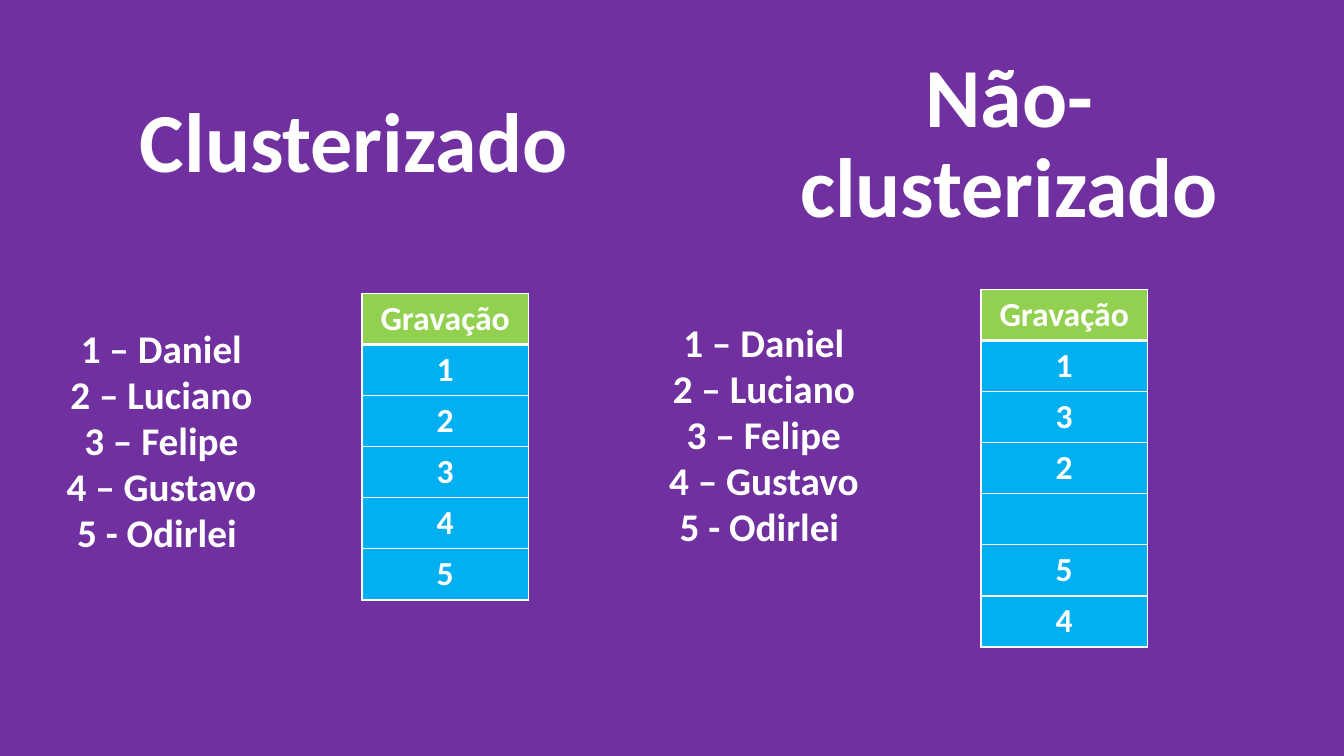
"""Build a slide comparing clustered and non-clustered write order."""
from dataclasses import dataclass

from lxml.etree import SubElement
from pptx import Presentation
from pptx.dml.color import RGBColor
from pptx.enum.text import MSO_ANCHOR as Anchor, MSO_AUTO_SIZE as AutoSize, PP_ALIGN as Align
from pptx.oxml.ns import qn
from pptx.util import Inches, Pt

COLORS = {"background": "7030A0", "text": "FFFFFF", "header": "92D050", "row": "00B0F0"}
FONT = "Calibri"
WIDTH, HEIGHT = Inches(13.33), Inches(7.5)
NAMES = ["1 – Daniel", "2 – Luciano", "3 – Felipe", "4 – Gustavo", "5 - Odirlei "]
ROW_HEIGHT = 6.76


@dataclass(frozen=True)
class Box:
    """Position and size in percent of the slide."""
    left: float
    top: float
    width: float
    height: float

    def lengths(self) -> tuple[int, int, int, int]:
        return (int(WIDTH * self.left / 100), int(HEIGHT * self.top / 100),
                int(WIDTH * self.width / 100), int(HEIGHT * self.height / 100))


@dataclass(frozen=True)
class Index:
    """One kind of index with its names and its written rows."""
    title: str
    title_box: Box
    names_box: Box
    table_left: float
    table_top: float
    rows: list[str]


INDEXES = [
    Index("Clusterizado", Box(5.4, 3.47, 41.86, 22.4), Box(-2.4, 42.53, 28.81, 24.13),
          26.93, 38.8, ["1", "2", "3", "4", "5"]),
    Index("Não-clusterizado", Box(54.16, 9.47, 41.86, 22.4), Box(31.51, 41.73, 50.64, 24.13),
          72.99, 38.27, ["1", "3", "2", "", "5", "4"]),
]


def color(name: str) -> RGBColor:
    return RGBColor.from_string(COLORS[name])


def format_text(text_frame, size: int, spacing: float = 1.0) -> None:
    for paragraph in text_frame.paragraphs:
        paragraph.alignment = Align.CENTER
        paragraph.line_spacing = spacing
        paragraph.space_before = Pt(0)
        for run in paragraph.runs:
            run.font.name = FONT
            run.font.size = Pt(size)
            run.font.bold = True
            run.font.color.rgb = color("text")


def fill_text(shape, box: Box, text: str, size: int, spacing: float, anchor: Anchor) -> None:
    shape.left, shape.top, shape.width, shape.height = box.lengths()
    text_frame = shape.text_frame
    text_frame.text = text
    text_frame.word_wrap = True
    text_frame.auto_size = AutoSize.NONE
    text_frame.vertical_anchor = anchor
    format_text(text_frame, size, spacing)


def add_border(cell, side: str, points: int) -> None:
    line = SubElement(cell._tc.get_or_add_tcPr(), qn(f"a:ln{side}"), w=str(Pt(points)))
    fill = SubElement(line, qn("a:solidFill"))
    SubElement(fill, qn("a:srgbClr"), val=COLORS["text"])


def add_write_table(slide, index: Index) -> None:
    values = ["Gravação", *index.rows]
    box = Box(index.table_left, index.table_top, 12.38, ROW_HEIGHT * len(values))
    table = slide.shapes.add_table(len(values), 1, *box.lengths()).table
    for number, value in enumerate(values):
        cell = table.cell(number, 0)
        for side in "LRTB":
            under_header = (number, side) in ((0, "B"), (1, "T"))
            add_border(cell, side, 3 if under_header else 1)
        cell.fill.solid()
        cell.fill.fore_color.rgb = color("row" if number else "header")
        cell.text_frame.text = value
        format_text(cell.text_frame, 24)


def main() -> None:
    presentation = Presentation()
    presentation.slide_width, presentation.slide_height = WIDTH, HEIGHT
    slide = presentation.slides.add_slide(presentation.slide_layouts[0])
    slide.background.fill.solid()
    slide.background.fill.fore_color.rgb = color("background")

    text_shapes = [
        (slide.shapes.title, slide.placeholders[1]),
        tuple(slide.shapes.add_textbox(0, 0, 0, 0) for _ in range(2)),
    ]
    for index, (title, names) in zip(INDEXES, text_shapes):
        fill_text(title, index.title_box, index.title, 60, 0.9, Anchor.BOTTOM)
        fill_text(names, index.names_box, "\n".join(NAMES), 28, 0.98, Anchor.TOP)
        add_write_table(slide, index)

    presentation.save("out.pptx")


if __name__ == "__main__":
    main()
